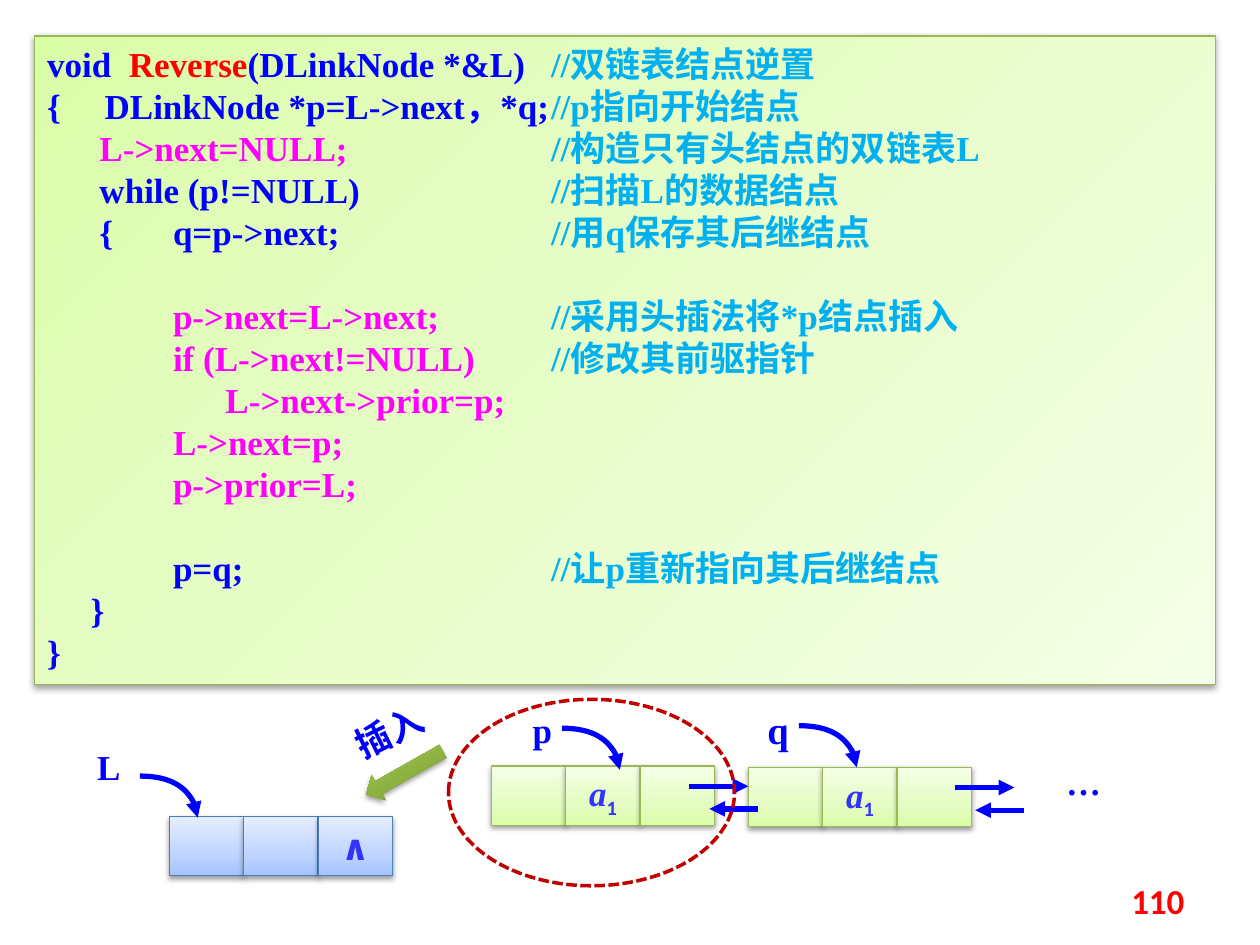
from lxml.etree import SubElement
from pptx import Presentation
from pptx.dml.color import RGBColor
from pptx.enum.dml import MSO_LINE
from pptx.enum.shapes import MSO_CONNECTOR, MSO_SHAPE
from pptx.enum.text import MSO_ANCHOR, PP_ALIGN
from pptx.oxml.ns import qn
from pptx.util import Inches, Pt

THEME = {
    "latin": "Times New Roman", "number": "Calibri", "asian": "Noto Sans CJK SC",
    "size": 20, "variable_size": 22, "line_pitch": 24,
    "code": "0000FF", "name": "FF0000", "key": "FF00FF", "comment": "00B0F0",
    "ink": "0000FF", "value": "3333FF", "ring": "C00000",
    "green": {"stops": [(0, "DAFDA7"), (35, "E4FCC2"), (100, "F5FFE7")], "line": "98B955"},
    "blue": {"stops": [(0, "A4C4FF"), (35, "BFD4FF"), (100, "E6EEFF")], "line": "4B7EBC"},
    "olive": {"stops": [(0, "779737"), (80, "9BC348"), (100, "9DC746")], "line": None},
}

# Code listing: (blank lines above, [(text, theme colour), ...])
CODE = [
    (0, [("void  ", "code"), ("Reverse", "name"), ("(DLinkNode *&L)\t", "code"),
         ("//双链表结点逆置", "comment")]),
    (0, [("{     DLinkNode *p=L->next，*q;\t", "code"), ("//p指向开始结点", "comment")]),
    (0, [("      L->next=NULL;\t\t", "key"), ("//构造只有头结点的双链表L", "comment")]),
    (0, [("      while (p!=NULL)\t\t", "code"), ("//扫描L的数据结点", "comment")]),
    (0, [("      {\tq=p->next;\t\t", "code"), ("//用q保存其后继结点", "comment")]),
    (1, [("\tp->next=L->next;\t", "key"), ("//采用头插法将*p结点插入", "comment")]),
    (0, [("\tif (L->next!=NULL)\t", "key"), ("//修改其前驱指针", "comment")]),
    (0, [("\t      L->next->prior=p;", "key")]),
    (0, [("\tL->next=p;", "key")]),
    (0, [("\tp->prior=L;", "key")]),
    (1, [("\tp=q;\t\t\t", "code"), ("//让p重新指向其后继结点", "comment")]),
    (0, [("     }", "code")]),
    (0, [("}", "code")]),
]
TAB_STOPS = range(1, 6)  # inches

# Diagram, in columns and rows of a 100 by 75 grid
LISTING_BOX = (2.75, 2.85, 93.7, 51.5)
CELL = (5.9, 4.7)
VALUE = {"color": "value"}
FIRST_DATA = [("a", {**VALUE, "italic": True}), ("1", {**VALUE, "font": "number", "base": -25})]
NODES = [  # "links": offset of the link arrows from the node's left edge
    {"at": (13.45, 64.8), "look": "blue", "cell": 2,
     "runs": [("∧", {**VALUE, "font": "number"})]},
    {"at": (39, 60.8), "look": "green", "cell": 1, "runs": FIRST_DATA, "links": 15.7},
    {"at": (59.4, 60.9), "look": "green", "cell": 1, "runs": FIRST_DATA, "links": 16.4},
]
POINTERS = [  # name, label corner, curve start, type size
    ("L", (5.5, 59.2), (11.1, 61.6), "size"),
    ("p", (39.9, 56.25), (44.6, 57.8), "size"),
    ("q", (58.6, 56), (63.4, 57.6), "variable_size"),
]
CURVE = (4.6, 3.3)
LINKS = [((0, 1.6), (4.7, 1.6)), ((5.5, 3.4), (1.6, 3.4))]

presentation = Presentation()
presentation.slide_width, presentation.slide_height = Inches(10), Inches(7.5)
slide = presentation.slides.add_slide(presentation.slide_layouts[6])
shapes = slide.shapes
UNIT = presentation.slide_width / 100


def grid(*values):
    return [round(value * UNIT) for value in values]


def set_all(target, **values):
    for name, value in values.items():
        setattr(target, name, value)


def add_run(paragraph, text, color="ink", font="latin", size="size", base=0, **style):
    run = paragraph.add_run()
    run.text = text
    set_all(run.font, **{"name": THEME[font], "size": Pt(THEME[size]), "bold": True, **style})
    run.font.color.rgb = RGBColor.from_string(THEME[color])
    properties = run.font._element
    SubElement(properties, qn("a:ea"), typeface=THEME["asian"])
    if base:
        properties.set("baseline", str(base * 1000))


def write(shape, runs, align=PP_ALIGN.CENTER, anchor=MSO_ANCHOR.TOP, wrap=True, inset=None):
    frame = shape.text_frame
    set_all(frame, word_wrap=wrap, vertical_anchor=anchor)
    if inset is not None:
        set_all(frame, margin_left=inset, margin_right=inset, margin_top=inset, margin_bottom=inset)
    paragraph = frame.paragraphs[0]
    paragraph.alignment = align
    for text, style in runs:
        add_run(paragraph, text, **style)


def add_label(box, runs, **layout):
    label = shapes.add_textbox(*grid(*box))
    write(label, runs, **layout)
    return label


def add_panel(kind, box, look, angle=270):
    """Gradient shape with a soft shadow below it."""
    shape = shapes.add_shape(kind, *grid(*box))
    shape.fill.gradient()
    gradient = shape._element.spPr.find(qn("a:gradFill"))
    stops = gradient.find(qn("a:gsLst"))
    for stop in list(stops):
        stops.remove(stop)
    for position, color in THEME[look]["stops"]:
        stop = SubElement(stops, qn("a:gs"), pos=str(position * 1000))
        SubElement(stop, qn("a:srgbClr"), val=color)
    gradient.find(qn("a:lin")).set("ang", str(angle * 60000))
    if THEME[look]["line"]:
        shape.line.color.rgb = RGBColor.from_string(THEME[look]["line"])
        shape.line.width = Pt(0.75)
    else:
        shape.line.fill.background()
    shape.shadow.inherit = False
    effects = shape._element.spPr.find(qn("a:effectLst"))
    shadow = SubElement(effects, qn("a:outerShdw"), blurRad=str(Pt(3.1)), dist=str(Pt(1.6)),
                        dir="5400000", rotWithShape="0")
    SubElement(SubElement(shadow, qn("a:srgbClr"), val="000000"), qn("a:alpha"), val="38000")
    return shape


def style_arrow(arrow):
    arrow.line.color.rgb = RGBColor.from_string(THEME["ink"])
    arrow.line.width = Pt(3)
    SubElement(arrow.line._get_or_add_ln(), qn("a:tailEnd"), type="triangle")


def add_straight_arrow(start, end):
    arrow = shapes.add_connector(MSO_CONNECTOR.STRAIGHT, *grid(*start, *end))
    style_arrow(arrow)
    SubElement(arrow._element.spPr, qn("a:effectLst"))


def add_curved_arrow(left, top):
    width, height = CURVE
    builder = shapes.build_freeform(*grid(left, top))
    controls = [(0.55, 0), (1, 0.45), (1, 1)]
    builder.add_line_segments(
        [grid(left + x * width, top + y * height) for x, y in controls], close=False)
    arrow = builder.convert_to_shape()
    outline = next(arrow._element.iter(qn("a:path")))
    segments = outline.findall(qn("a:lnTo"))
    bezier = SubElement(outline, qn("a:cubicBezTo"))
    for segment in segments:
        bezier.append(segment[0])
        outline.remove(segment)
    arrow.fill.background()
    arrow.shadow.inherit = False
    style_arrow(arrow)


# Code listing
listing = add_panel(MSO_SHAPE.RECTANGLE, LISTING_BOX, "green", angle=45)
set_all(listing.text_frame, word_wrap=True, vertical_anchor=MSO_ANCHOR.TOP)
for index, (blank_lines, runs) in enumerate(CODE):
    frame = listing.text_frame
    paragraph = frame.add_paragraph() if index else frame.paragraphs[0]
    set_all(paragraph, alignment=PP_ALIGN.LEFT, line_spacing=Pt(THEME["line_pitch"]))
    if blank_lines:
        paragraph.space_before = Pt(blank_lines * THEME["line_pitch"])
    tabs = SubElement(paragraph._p.get_or_add_pPr(), qn("a:tabLst"))
    for stop in TAB_STOPS:
        SubElement(tabs, qn("a:tab"), pos=str(Inches(stop)), algn="l")
    for text, color in runs:
        add_run(paragraph, text, color)

# List nodes
for node in NODES:
    left, top = node["at"]
    for column in range(3):
        cell = add_panel(MSO_SHAPE.RECTANGLE, (left + column * CELL[0], top, *CELL), node["look"])
        if column == node["cell"]:
            write(cell, node["runs"], anchor=MSO_ANCHOR.MIDDLE, wrap=False)

# Links drawn over the nodes
for node in NODES:
    if "links" in node:
        left, top = node["at"]
        for link in LINKS:
            add_straight_arrow(*[(left + node["links"] + x, top + y) for x, y in link])

# Pointers and ellipsis
for name, corner, curve_start, size in POINTERS:
    add_label((*corner, 6.3, 4), [(name, {"size": size})], inset=0)
    add_curved_arrow(*curve_start)
add_label((81.3, 61.2, 9.4, 4), [("…", {"font": "asian"})], inset=0)

# Insertion of the ringed node
ring = shapes.add_shape(MSO_SHAPE.OVAL, *grid(35.6, 55.5, 22.7, 14.8))
ring.fill.background()
ring.shadow.inherit = False
ring.line.color.rgb = RGBColor.from_string(THEME["ring"])
set_all(ring.line, width=Pt(2), dash_style=MSO_LINE.SQUARE_DOT)
add_panel(MSO_SHAPE.LEFT_ARROW, (28.6, 60.2, 7, 2.3), "olive").rotation = 330.5
add_label((25.8, 55.9, 10.2, 4.4), [("插入", {"font": "asian"})]).rotation = 333.6

# Page number
add_label((71.7, 69.5, 23.3, 4), [("110", {"color": "name", "font": "number"})],
          align=PP_ALIGN.RIGHT, anchor=MSO_ANCHOR.MIDDLE)

presentation.save("out.pptx")
